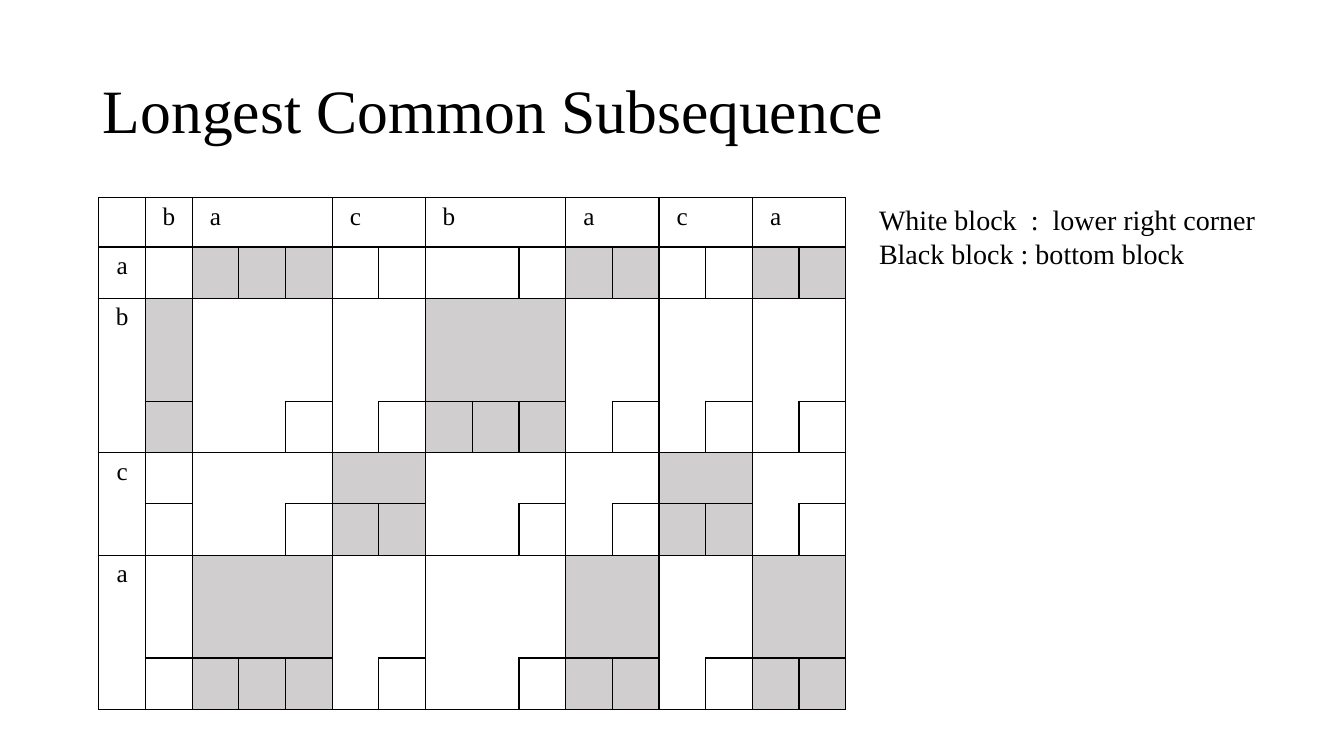
from itertools import product

from lxml import etree
from pptx import Presentation
from pptx.dml.color import RGBColor
from pptx.enum import text
from pptx.oxml import ns
from pptx.util import Inches, Pt

BLACK = RGBColor(0x00, 0x00, 0x00)
GRAY = RGBColor(0xD0, 0xCE, 0xCE)
FONT = "Times New Roman"

# Run-length encoded strings: (letter, run length)
ACROSS = [("b", 1), ("a", 3), ("c", 2), ("b", 3), ("a", 2), ("c", 2), ("a", 2)]
DOWN = [("a", 1), ("b", 3), ("c", 2), ("a", 3)]
OPPOSITE = {"L": ("R", 0, -1), "R": ("L", 0, 1), "T": ("B", -1, 0), "B": ("T", 1, 0)}

edges = set()


def outline(top, left, bottom, right):
    """Mark the border of a cell range, on both sides of every shared edge."""
    for row, col in product(range(top, bottom + 1), range(left, right + 1)):
        on_border = {"L": col == left, "R": col == right, "T": row == top, "B": row == bottom}
        for side in (s for s, marked in on_border.items() if marked):
            facing, d_row, d_col = OPPOSITE[side]
            edges.update({(row, col, side), (row + d_row, col + d_col, facing)})


def write(paragraph, words, size, align):
    paragraph.text = words
    paragraph.alignment = align
    style = {"name": FONT, "size": Pt(size)}
    for attribute, value in style.items():
        setattr(paragraph.font, attribute, value)
    paragraph.font.color.rgb = BLACK


deck = Presentation()
deck.slide_width, deck.slide_height = Inches(13.33), Inches(7.5)
slide = deck.slides.add_slide(deck.slide_layouts[5])

# Title
title = slide.shapes.title
place = {"left": 0.92, "top": 0.4, "width": 11.5, "height": 1.45}
for attribute, value in place.items():
    setattr(title, attribute, Inches(value))
title.text_frame.vertical_anchor = text.MSO_ANCHOR.MIDDLE
write(title.text_frame.paragraphs[0], "Longest Common Subsequence", 44, text.PP_ALIGN.LEFT)
title.text_frame.paragraphs[0].line_spacing = 0.9

# Grid of blocks
column_count = 1 + sum(length for _, length in ACROSS)
row_count = 1 + sum(length for _, length in DOWN)
grid = slide.shapes.add_table(row_count, column_count, Inches(0.98), Inches(1.96),
                              Inches(7.41), Inches(5.09)).table
grid.first_row = grid.horz_banding = False
for column in grid.columns:
    column.width = Inches(7.41 / column_count)
for number, row in enumerate(grid.rows):
    row.height = Inches(0.51 if number else 0.49)

# Header runs and the blocks where they meet
labels = {}
shaded = set()
outline(0, 0, 0, 0)
top = 1
for down_letter, down_length in DOWN:
    bottom = top + down_length - 1
    labels[top, 0] = down_letter
    outline(top, 0, bottom, 0)
    left = 1
    for across_letter, across_length in ACROSS:
        right = left + across_length - 1
        labels[0, left] = across_letter
        outline(0, left, 0, right)
        outline(top, left, bottom, right)
        outline(bottom, right, bottom, right)
        if across_letter == down_letter:
            shaded.update(product(range(top, bottom + 1), range(left, right + 1)))
            for col in range(left, right):
                outline(bottom, col, bottom, col)
        left = right + 1
    top = bottom + 1

# Cell text, fill and borders
for row, col in product(range(row_count), range(column_count)):
    cell = grid.cell(row, col)
    write(cell.text_frame.paragraphs[0], labels.get((row, col), ""), 18, text.PP_ALIGN.CENTER)
    if (row, col) in shaded:
        cell.fill.solid()
        cell.fill.fore_color.rgb = GRAY
    else:
        cell.fill.background()
    properties = cell._tc.get_or_add_tcPr()
    for position, side in enumerate("LRTB"):
        line = etree.Element(ns.qn(f"a:ln{side}"), w=str(Pt(1)))
        if (row, col, side) in edges:
            paint = etree.SubElement(line, ns.qn("a:solidFill"))
            etree.SubElement(paint, ns.qn("a:srgbClr"), val=str(BLACK))
        else:
            etree.SubElement(line, ns.qn("a:noFill"))
        properties.insert(position, line)

# Legend
legend = slide.shapes.add_textbox(Inches(8.62), Inches(1.96), Inches(4.07), Inches(0.77)).text_frame
legend.word_wrap = True
legend.auto_size = text.MSO_AUTO_SIZE.SHAPE_TO_FIT_TEXT
write(legend.paragraphs[0], "White block  :  lower right corner", 20, text.PP_ALIGN.LEFT)
write(legend.add_paragraph(), "Black block : bottom block", 20, text.PP_ALIGN.LEFT)

deck.save("out.pptx")
